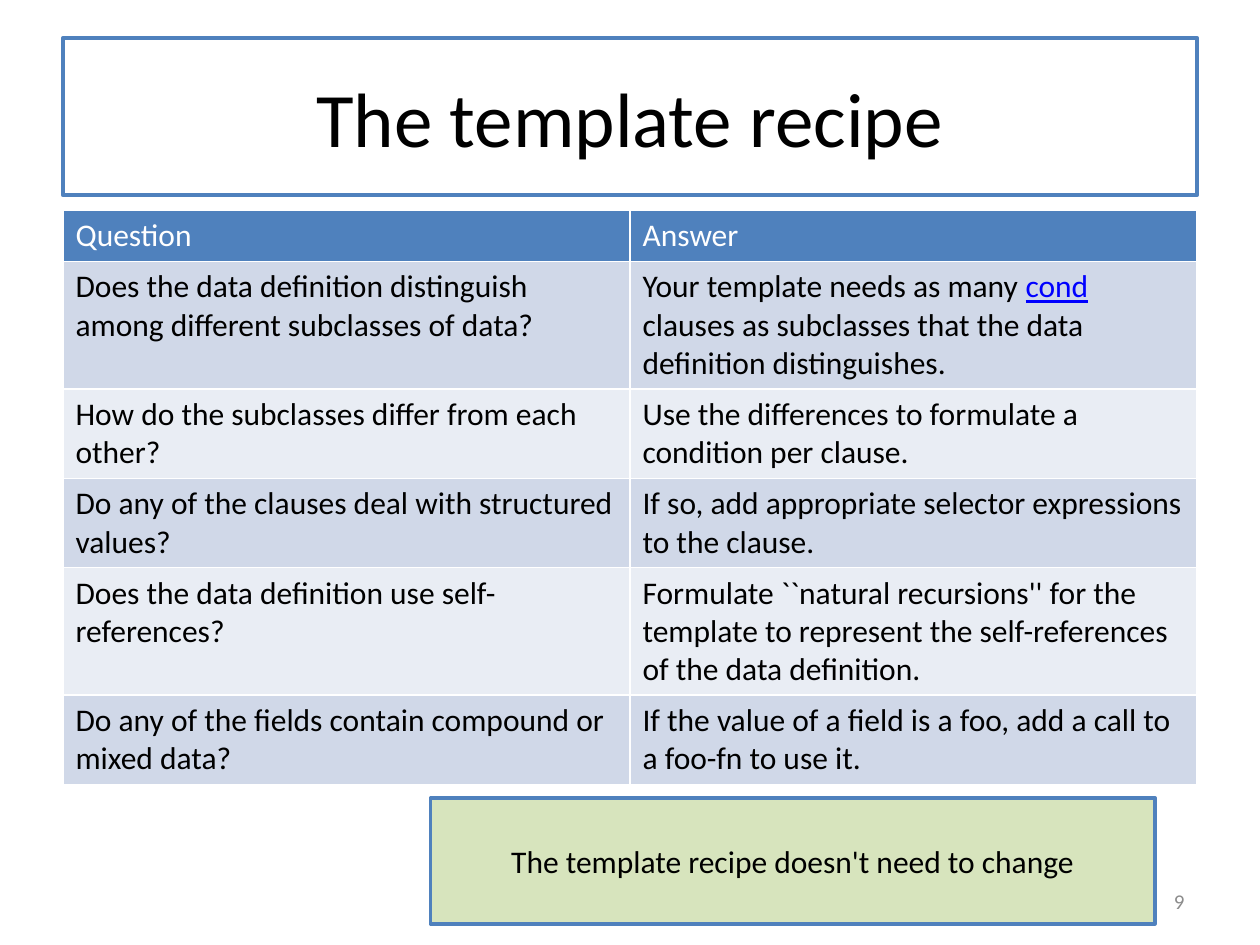
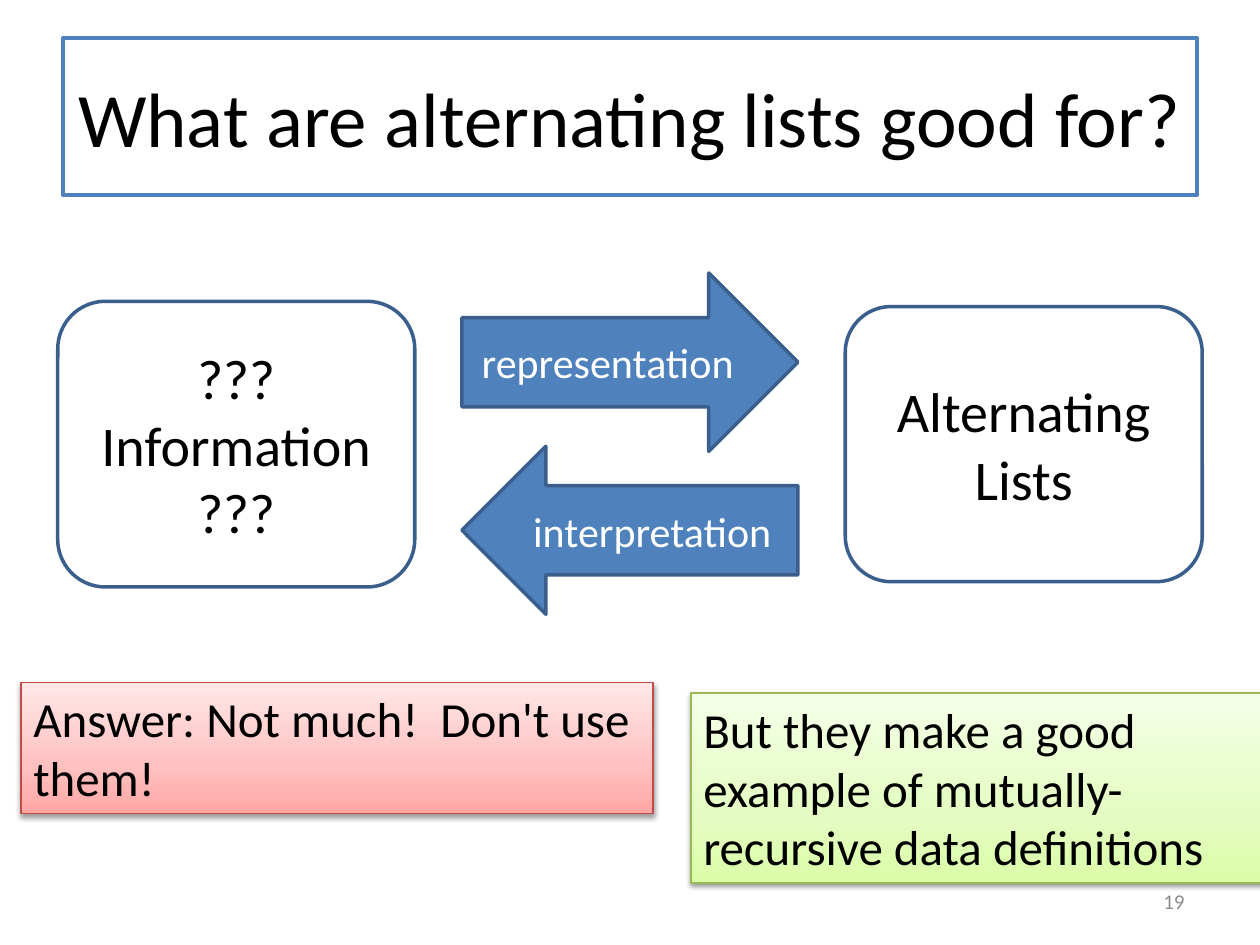
from copy import deepcopy

from lxml import etree
from pptx import Presentation
from pptx.dml.color import RGBColor
from pptx.enum.shapes import MSO_SHAPE
from pptx.enum.text import MSO_ANCHOR, PP_ALIGN
from pptx.oxml.ns import qn
from pptx.util import Inches, Pt

RECT, ROUND = MSO_SHAPE.RECTANGLE, MSO_SHAPE.ROUNDED_RECTANGLE
RIGHT_ARROW, LEFT_ARROW = MSO_SHAPE.RIGHT_ARROW, MSO_SHAPE.LEFT_ARROW
TOP, MIDDLE = MSO_ANCHOR.TOP, MSO_ANCHOR.MIDDLE
LEFT, CENTER, RIGHT = PP_ALIGN.LEFT, PP_ALIGN.CENTER, PP_ALIGN.RIGHT

FONT = "Calibri"
BLACK, WHITE, GRAY = "000000", "FFFFFF", "8C8C8C"
BLUE, NAVY, LINK = "4F81BD", "3A5F8C", "0000FF"
BANDS = "D0D8E8", "E9EDF4"
GREEN = "D7E4BD"
REDS = "FFA6A5", "FFC0BF", "FFE7E7"
LIMES = "DAFDA7", "E4FCC2", "F5FFE7"


def rgb(code):
    """Turn a hex string into a colour."""
    return RGBColor.from_string(code)


def write(frame, text, size=18, color=BLACK, align=LEFT, anchor=TOP, link=None):
    """Fill a frame, one paragraph a line, with the link word underlined."""
    frame.word_wrap = True
    frame.vertical_anchor = anchor
    for i, line in enumerate(text.split("\n")):
        para = frame.paragraphs[0] if i == 0 else frame.add_paragraph()
        para.alignment = align
        for part in line.partition(link) if link else [line]:
            run = para.add_run()
            run.text = part
            run.font.name, run.font.size = FONT, Pt(size)
            run.font.bold = False
            run.font.underline = part == link
            run.font.color.rgb = rgb(LINK if part == link else color)


# A grid of 120 columns and 90 rows, with square cells
deck = Presentation()
deck.slide_width, deck.slide_height = Inches(10), Inches(7.5)
unit = deck.slide_width / 120
edge, wide = 6, 108

# Titles and page numbers
pages = []
for head, num in [("The template recipe", "9"),
                  ("What are alternating lists good for?", "19")]:
    page = deck.slides.add_slide(deck.slide_layouts[5])
    title = page.shapes.title
    title.left, title.top, title.width, title.height = [
        round(n * unit) for n in (edge, 3.6, wide, 15)]
    title.fill.solid()
    title.fill.fore_color.rgb = rgb(WHITE)
    title.line.color.rgb = rgb(BLUE)
    title.line.width = Pt(2.25)
    write(title.text_frame, head, size=44, align=CENTER, anchor=MIDDLE)
    foot = page.shapes.add_textbox(*[round(n * unit) for n in (86, 83.4, 28, 4.8)])
    write(foot.text_frame, num, size=12, color=GRAY, align=RIGHT, anchor=MIDDLE)
    pages.append(page)

recipe, lists = pages

# Table of questions; each row gives its number of text lines first
rows = [
    (1, "Question", "Answer"),
    (3, "Does the data definition distinguish among different subclasses of data?",
     "Your template needs as many cond clauses as subclasses that the data "
     "definition distinguishes."),
    (2, "How do the subclasses differ from each other?",
     "Use the differences to formulate a condition per clause."),
    (2, "Do any of the clauses deal with structured values?",
     "If so, add appropriate selector expressions to the clause."),
    (3, "Does the data definition use self-references?",
     "Formulate ``natural recursions'' for the template to represent the "
     "self-references of the data definition."),
    (2, "Do any of the fields contain compound or mixed data?",
     "If the value of a field is a foo, add a call to a foo-fn to use it."),
]
heights = [Inches(0.11 + 0.3 * row[0]) for row in rows]
table = recipe.shapes.add_table(
    len(rows), 2, round(edge * unit), round(20 * unit),
    round(wide * unit), sum(heights)).table
for r, (count, *texts) in enumerate(rows):
    table.rows[r].height = heights[r]
    for c, text in enumerate(texts):
        cell = table.cell(r, c)
        cell.fill.solid()
        cell.fill.fore_color.rgb = rgb(BANDS[(r - 1) % 2] if r else BLUE)
        write(cell.text_frame, text, color=BLACK if r else WHITE,
              link="cond" if "cond " in text else None)

# Boxes and arrows: page, shape, place, fill, line, line width, text, format
mid = {"align": CENTER, "anchor": MIDDLE}
big = {"size": 32, **mid}
label = {"size": 24, "color": WHITE, **mid}
note = {"size": 28}
boxes = [
    (recipe, RECT, (41, 76, 69, 12), GREEN, BLUE, 2,
     "The template recipe doesn't need to change", mid),
    (lists, ROUND, (5.5, 28.7, 34, 27.2), None, NAVY, 2,
     "???\nInformation\n???", big),
    (lists, ROUND, (80.5, 29.2, 34, 26.2), None, NAVY, 2,
     "Alternating Lists", big),
    (lists, RIGHT_ARROW, (44, 26, 32, 17), BLUE, NAVY, 2, "representation", label),
    (lists, LEFT_ARROW, (44, 42.5, 32, 16), BLUE, NAVY, 2, "interpretation", label),
    (lists, RECT, (2, 65, 60.2, 12.5), REDS, "BF4C48", 0.75,
     "Answer: Not much!  Don't use them!", note),
    (lists, RECT, (65.8, 66, 54.5, 18.1), LIMES, "98B955", 0.75,
     "But they make a good example of mutually-recursive data definitions", note),
]
for page, kind, place, fill, line, weight, text, style in boxes:
    box = page.shapes.add_shape(kind, *[round(n * unit) for n in place])
    box.shadow.inherit = False
    box.line.color.rgb = rgb(line)
    box.line.width = Pt(weight)
    if kind == LEFT_ARROW:
        box.adjustments[0] = 0.53
    if fill is None:
        box.fill.background()
    elif isinstance(fill, str):
        box.fill.solid()
        box.fill.fore_color.rgb = rgb(fill)
    else:
        # Three colour stops from the bottom up, and a soft shadow below
        box.fill.gradient()
        box.fill.gradient_angle = 90
        props = box._element.spPr
        stops = props.find(".//" + qn("a:gsLst"))
        stops.append(deepcopy(stops[0]))
        for stop, at, code in zip(box.fill.gradient_stops, (0, 0.35, 1), fill):
            stop.position = at
            stop.color.rgb = rgb(code)
        shade = etree.SubElement(
            props.find(qn("a:effectLst")), qn("a:outerShdw"),
            blurRad=str(Pt(3.1)), dist=str(Pt(1.6)), dir="5400000", rotWithShape="0")
        tone = etree.SubElement(shade, qn("a:srgbClr"), val=BLACK)
        etree.SubElement(tone, qn("a:alpha"), val="38000")
    write(box.text_frame, text, **style)

deck.save("out.pptx")
